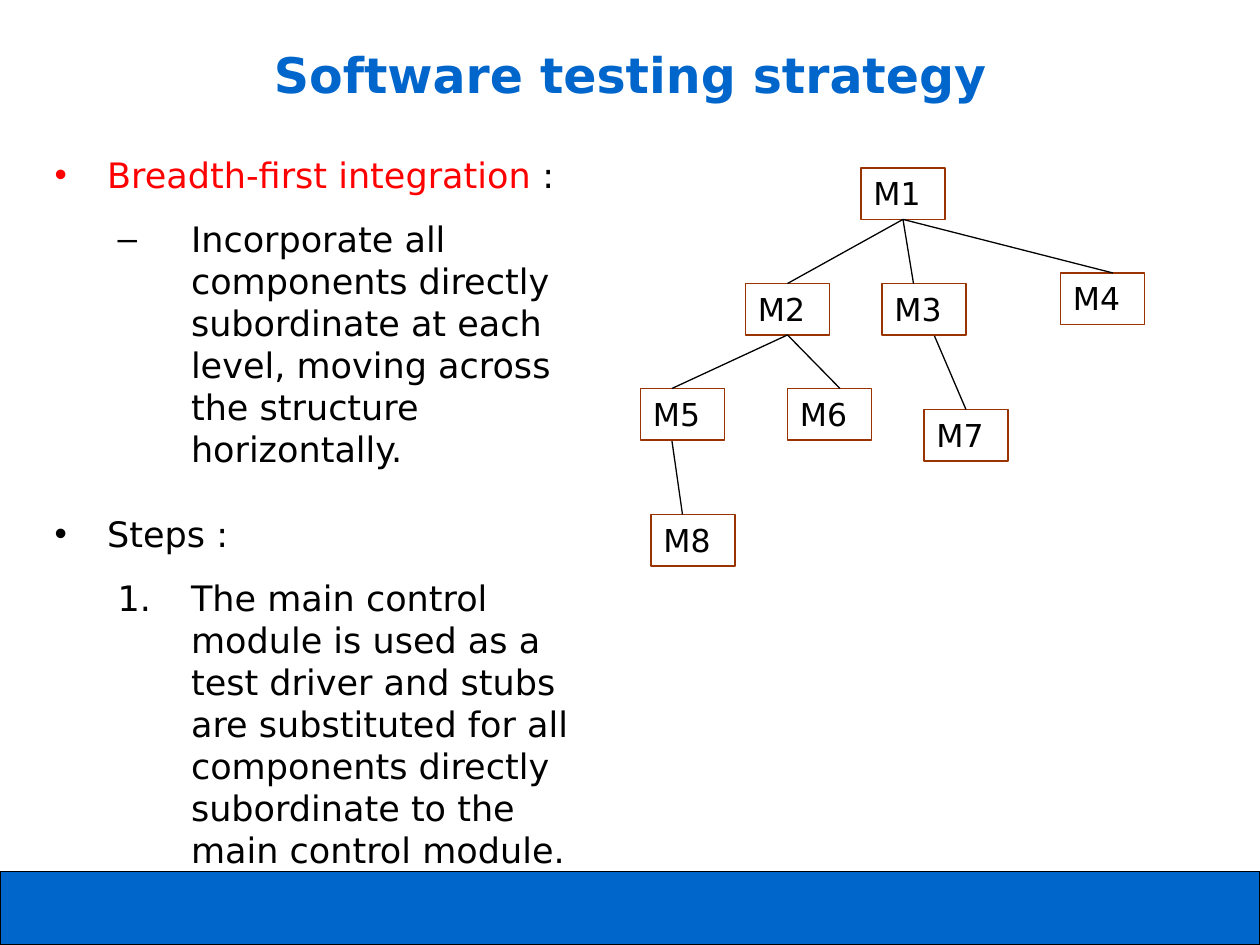
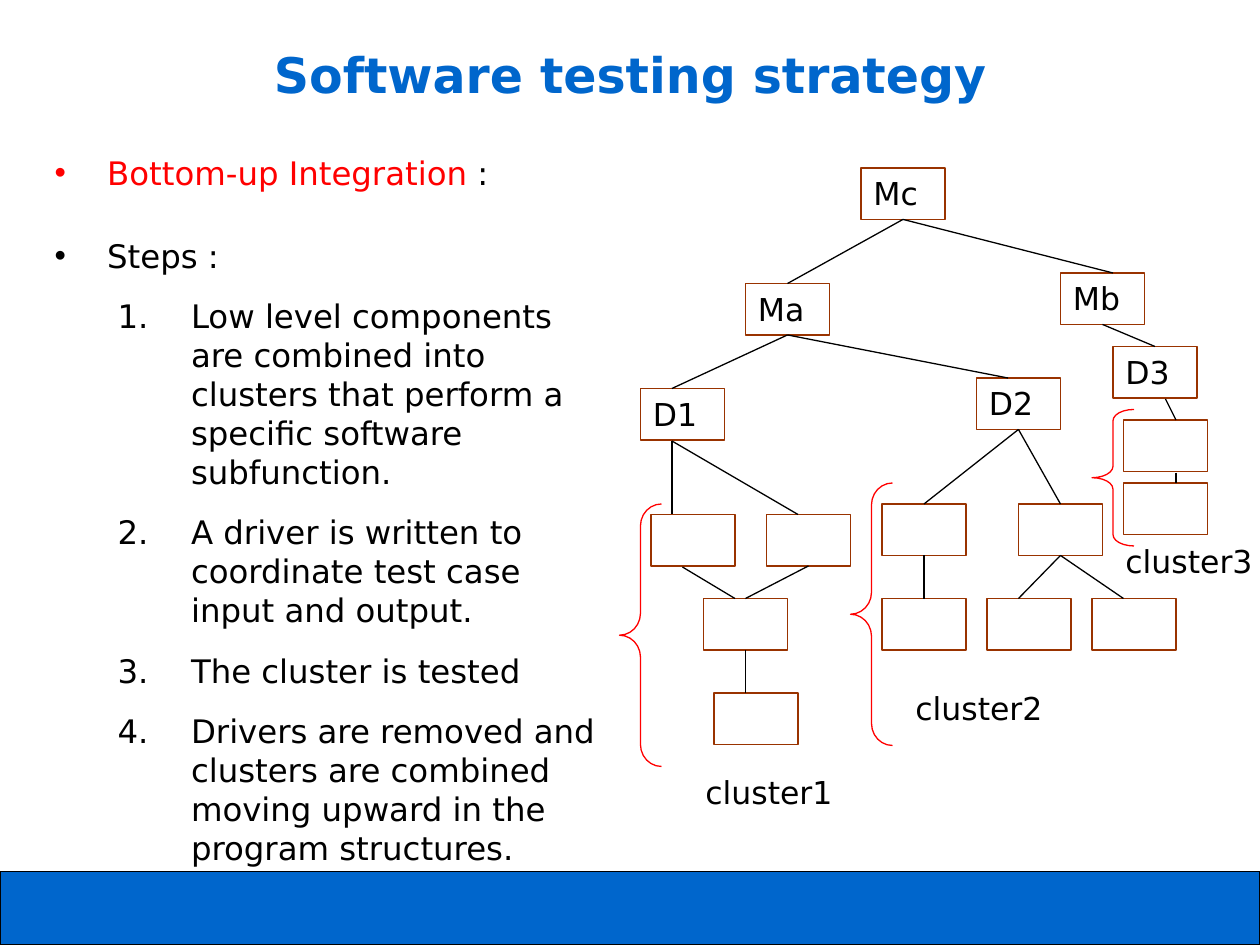
from lxml import etree
from pptx import Presentation
from pptx.dml.color import RGBColor
from pptx.enum.shapes import MSO_CONNECTOR, MSO_SHAPE
from pptx.enum.text import MSO_ANCHOR, MSO_AUTO_SIZE, PP_ALIGN
from pptx.oxml.ns import qn
from pptx.util import Cm, Pt

RECT, BRACE = MSO_SHAPE.RECTANGLE, MSO_SHAPE.LEFT_BRACE
STRAIGHT = MSO_CONNECTOR.STRAIGHT
TOP = MSO_ANCHOR.TOP
LEFT, CENTER = PP_ALIGN.LEFT, PP_ALIGN.CENTER
NO_FIT = MSO_AUTO_SIZE.NONE

COLORS = {"blue": "0066CC", "red": "FF0000", "black": "000000", "brown": "993300"}
FONT = "DejaVu Sans"
GRID = 2.54 / 12
BOX_W, BOX_H = 8, 4.9
BULLETS = {
    "•": (0, 1.06, -1.06, 18.7),
    "–": (1, 2.75, -1.48, 6.2),
    "1.": (1, 2.75, -1.48, 6.2),
}


def color(name):
    return RGBColor.from_string(COLORS[name])


def grid(*cells):
    return [Cm(cell * GRID) for cell in cells]


class Deck:
    """Draws styled elements on the current slide, placed on a grid of twelfths of an inch."""

    def __init__(self):
        self.prs = Presentation()
        self.prs.slide_width, self.prs.slide_height = Cm(25.4), Cm(19.05)

    def slide(self, title):
        self.s = self.prs.slides.add_slide(self.prs.slide_layouts[1])
        self.boxes = []
        self.shape(RECT, (0, 83, 120, 7), "black", "blue")
        tf = self.frame(self.s.shapes.title, (6, 3.6, 108, 15))
        tf.text = title
        tf.paragraphs[0].alignment = CENTER
        self.font(tf.paragraphs[0].runs[0], 28, "blue", True)

    def font(self, r, size, name="black", bold=False):
        r.font.name, r.font.size, r.font.bold = FONT, Pt(size), bold
        r.font.color.rgb = color(name)

    def frame(self, sp, place):
        sp.left, sp.top, sp.width, sp.height = grid(*place)
        tf = sp.text_frame
        tf.word_wrap, tf.auto_size, tf.vertical_anchor = True, NO_FIT, TOP
        return tf

    def bullet(self, p, mark, name):
        p.level, left, indent, before = BULLETS[mark]
        p.space_before, p.space_after, p.line_spacing = Pt(before), Pt(6.2), 1.0
        pPr = p._p.get_or_add_pPr()
        pPr.set("marL", str(Cm(left)))
        pPr.set("indent", str(Cm(indent)))
        clr = etree.SubElement(pPr, qn("a:buClr"))
        etree.SubElement(clr, qn("a:srgbClr"), val=COLORS[name])
        if mark == "1.":
            etree.SubElement(pPr, qn("a:buFont"), typeface=FONT)
            etree.SubElement(pPr, qn("a:buAutoNum"), type="arabicPeriod")
        else:
            etree.SubElement(pPr, qn("a:buChar"), char=mark)

    def body(self, size, heading, items):
        tf = self.frame(self.s.placeholders[1], (4, 14, 55, 67))
        p = tf.paragraphs[0]
        p.text = heading
        self.font(p.runs[0], size, "red")
        r = p.add_run()
        r.text = " :"
        self.font(r, size)
        self.bullet(p, "•", "red")
        for mark, text in items:
            p = tf.add_paragraph()
            p.text = text
            self.font(p.runs[0], size)
            self.bullet(p, mark, "black")

    def shape(self, kind, place, line, fill=None):
        sp = self.s.shapes.add_shape(kind, *grid(*place))
        sp.shadow.inherit = False
        sp.line.color.rgb, sp.line.width = color(line), Pt(0.75)
        if fill:
            sp.fill.solid()
            sp.fill.fore_color.rgb = color(fill)
        else:
            sp.fill.background()
        return sp

    def caption(self, sp, place, text):
        tf = self.frame(sp, place)
        tf.text = text
        tf.paragraphs[0].alignment = LEFT
        self.font(tf.paragraphs[0].runs[0], 18)

    def box(self, x, y, text=""):
        place = (x, y, BOX_W, BOX_H)
        sp = self.shape(RECT, place, "brown")
        if text:
            self.caption(sp, place, text)
        self.boxes.append((x + BOX_W / 2, y, sp))

    def label(self, x, y, text):
        place = (x, y, 16, BOX_H)
        self.caption(self.s.shapes.add_textbox(*grid(*place)), place, text)

    def brace(self, x, y, height):
        sp = self.shape(BRACE, (x, y, 4, height), "red")
        sp.adjustments[0] = height / 12 / 4

    def link(self, x1, y1, x2, y2):
        c = self.s.shapes.add_connector(STRAIGHT, *grid(x1, y1, x2, y2))
        c.line.color.rgb, c.line.width = color("black"), Pt(0.75)
        etree.SubElement(c._element.spPr, qn("a:effectLst"))
        for center, top, sp in self.boxes:
            if x1 == center and abs(y1 - top - BOX_H) < 0.3:
                c.begin_connect(sp, 2)
            if x2 == center and y2 == top:
                c.end_connect(sp, 0)

    def tree(self, boxes, links):
        for box in boxes:
            self.box(*box)
        for ends in links:
            self.link(*ends)


def breadth_first(deck):
    deck.slide("Software testing strategy")
    deck.body(20, "Breadth-first integration", [
        ("–", "Incorporate all components directly subordinate at each level, "
              "moving across the structure horizontally."),
        ("•", "Steps :"),
        ("1.", "The main control module is used as a test driver and stubs are "
               "substituted for all components directly subordinate to the main "
               "control module."),
    ])
    deck.tree(
        [(82, 16, "M1"), (71, 27, "M2"), (84, 27, "M3"), (61, 37, "M5"),
         (75, 37, "M6"), (101, 26, "M4"), (88, 39, "M7"), (62, 49, "M8")],
        [(86, 21, 75, 27), (86, 21, 87, 27), (86, 21, 106, 26), (75, 32, 64, 37),
         (75, 32, 80, 37), (64, 42, 65, 49), (89, 32, 92, 39)])


def bottom_up(deck):
    deck.slide("Software testing strategy")
    deck.body(18.5, "Bottom-up Integration", [
        ("•", "Steps :"),
        ("1.", "Low level components are combined into clusters that perform a "
               "specific software subfunction."),
        ("1.", "A driver is written to coordinate test case input and output."),
        ("1.", "The cluster is tested"),
        ("1.", "Drivers are removed and clusters are combined moving upward in "
               "the program structures."),
    ])
    modules = [(82, 16, "Mc"), (71, 27, "Ma"), (61, 37, "D1"), (93, 36, "D2"),
               (101, 26, "Mb"), (106, 33, "D3")]
    cluster1 = [(62, 49), (73, 49), (67, 57), (68, 66)]
    cluster2 = [(84, 48), (97, 48), (84, 57), (94, 57), (104, 57)]
    cluster3 = [(107, 40), (107, 46)]
    deck.tree(
        modules + cluster1 + cluster2 + cluster3,
        [(86, 21, 75, 27), (86, 21, 106, 26), (75, 32, 64, 37), (75, 32, 96, 36),
         (64, 42, 64, 49), (64, 42, 76, 49), (65, 54, 70, 57), (77, 54, 71, 57),
         (71, 62, 71, 66), (97, 41, 88, 48), (97, 41, 101, 48), (88, 53, 88, 57),
         (101, 53, 97, 57), (101, 53, 107, 57), (105, 31, 110, 33),
         (111, 38, 112, 40), (112, 45, 112, 46)])
    for brace in [(59, 48, 25), (81, 46, 25), (104, 39, 13)]:
        deck.brace(*brace)
    for label in [(66, 73, "cluster1"), (86, 65, "cluster2"), (106, 51, "cluster3")]:
        deck.label(*label)


def main():
    deck = Deck()
    breadth_first(deck)
    bottom_up(deck)
    deck.prs.save("out.pptx")


if __name__ == "__main__":
    main()
